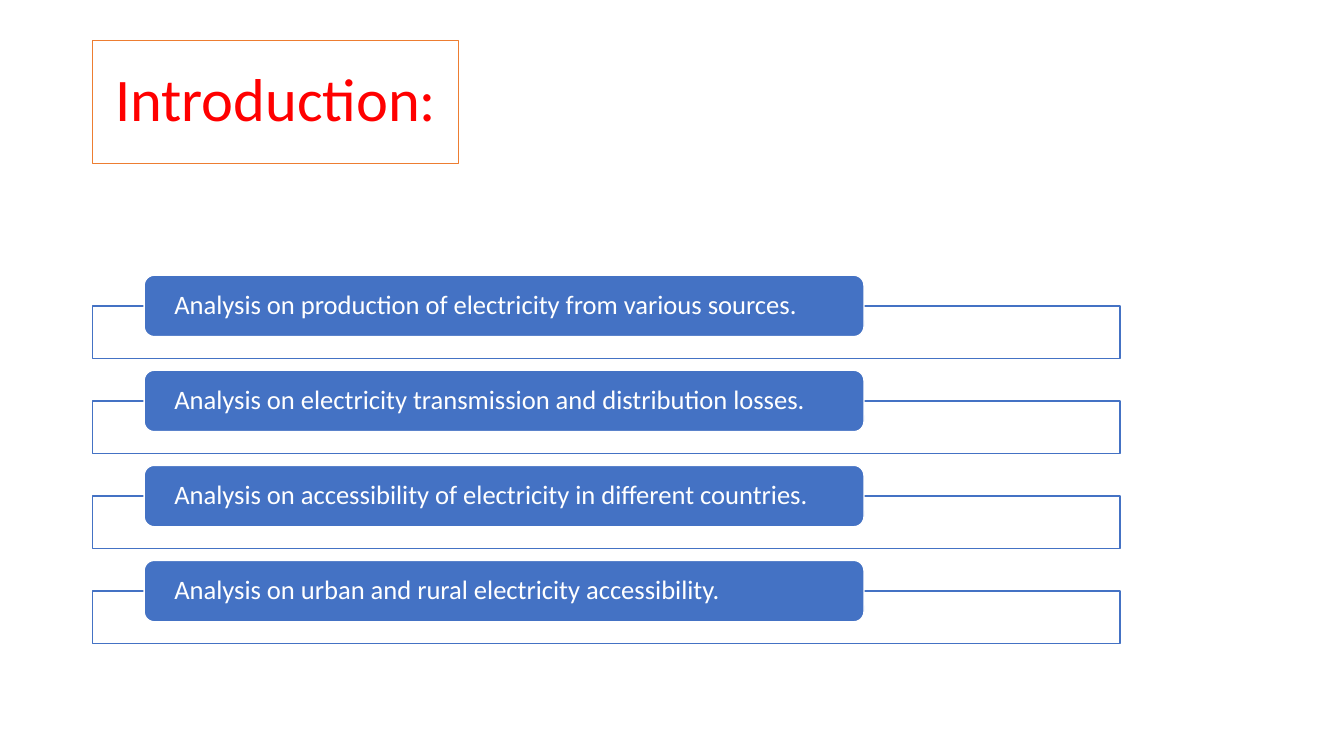
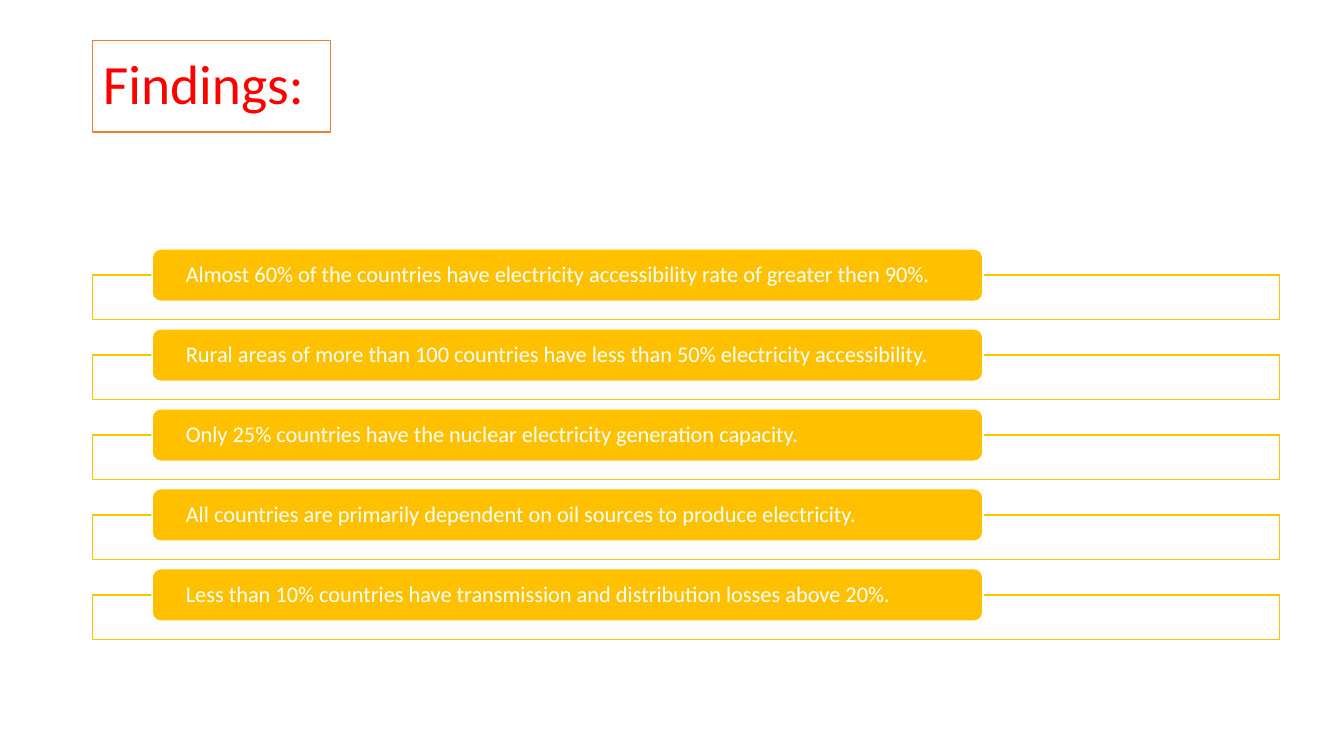
from pptx import Presentation
from pptx.dml.color import RGBColor
from pptx.enum.shapes import MSO_SHAPE
from pptx.enum.text import MSO_ANCHOR, MSO_AUTO_SIZE, PP_ALIGN
from pptx.util import Inches, Pt

COLORS = {
    "white": "FFFFFF",
    "red": "FF0000",
    "orange": "ED7D31",
    "blue": "4472C4",
    "gold": "FFC000",
}
FONT = "Calibri"
LEFT = 0.92
TITLE_TOP = 0.4

SLIDES = [
    {
        "title": "Introduction:",
        "title_size": (3.63, 1.22),
        "title_font": 43.2,
        "title_align": PP_ALIGN.CENTER,
        "items": [
            "Analysis on production of electricity from various sources.",
            "Analysis on electricity transmission and distribution losses.",
            "Analysis on accessibility of electricity in different countries.",
            "Analysis on urban and rural electricity accessibility.",
        ],
        "color": "blue",
        "font": 19,
        "top": 2.73,
        "pitch": 0.943,
        "frame_size": (10.19, 0.52),
        "label_size": (7.14, 0.61),
        "inset": 0.27,
    },
    {
        "title": "Findings:",
        "title_size": (2.36, 0.91),
        "title_font": 39.6,
        "title_align": PP_ALIGN.LEFT,
        "items": [
            "Almost 60% of the countries have electricity accessibility rate of greater then 90%.",
            "Rural areas of more than 100 countries have less than 50% electricity accessibility.",
            "Only 25% countries have the nuclear electricity generation capacity.",
            "All countries are primarily dependent on oil sources to produce electricity.",
            "Less than 10% countries have transmission and distribution losses above 20%.",
        ],
        "color": "gold",
        "font": 16,
        "top": 2.47,
        "pitch": 0.793,
        "frame_size": (11.77, 0.44),
        "label_size": (8.24, 0.52),
        "inset": 0.31,
    },
]


def rgb(name):
    return RGBColor.from_string(COLORS[name])


def paint(shape, fill, line):
    shape.fill.solid()
    shape.fill.fore_color.rgb = rgb(fill)
    shape.line.color.rgb = rgb(line)
    shape.line.width = Pt(1)


def write(shape, text, size, color, align):
    frame = shape.text_frame
    frame.text = text
    frame.word_wrap = True
    frame.auto_size = MSO_AUTO_SIZE.NONE
    frame.vertical_anchor = MSO_ANCHOR.MIDDLE
    paragraph = frame.paragraphs[0]
    paragraph.alignment = align
    paragraph.line_spacing = 0.9
    paragraph.font.name = FONT
    paragraph.font.size = Pt(size)
    paragraph.font.color.rgb = rgb(color)


def add_box(slide, kind, left, top, size, fill, line):
    width, height = size
    shape = slide.shapes.add_shape(
        kind, Inches(left), Inches(top), Inches(width), Inches(height))
    shape.shadow.inherit = False
    paint(shape, fill, line)
    return shape


def add_title(slide, content):
    title = slide.shapes.title
    width, height = content["title_size"]
    title.left, title.top = Inches(LEFT), Inches(TITLE_TOP)
    title.width, title.height = Inches(width), Inches(height)
    paint(title, "white", "orange")
    write(title, content["title"], content["title_font"], "red", content["title_align"])


def add_list(slide, content):
    """Draw each item as a label straddling the top edge of a wide frame."""
    color = content["color"]
    frame_size, label_size = content["frame_size"], content["label_size"]
    label_left = LEFT + frame_size[0] * 0.05
    for index, item in enumerate(content["items"]):
        top = content["top"] + index * content["pitch"]
        add_box(slide, MSO_SHAPE.RECTANGLE, LEFT, top + label_size[1] / 2,
                frame_size, "white", color)
        label = add_box(slide, MSO_SHAPE.ROUNDED_RECTANGLE, label_left, top,
                        label_size, color, "white")
        write(label, item, content["font"], "white", PP_ALIGN.LEFT)
        text_frame = label.text_frame
        text_frame.margin_left = text_frame.margin_right = Inches(content["inset"])
        text_frame.margin_top = text_frame.margin_bottom = 0


def main():
    presentation = Presentation()
    presentation.slide_width = Inches(13.33)
    presentation.slide_height = Inches(7.5)
    title_only = presentation.slide_layouts[5]
    for content in SLIDES:
        slide = presentation.slides.add_slide(title_only)
        add_title(slide, content)
        add_list(slide, content)
    presentation.save("out.pptx")


if __name__ == "__main__":
    main()
